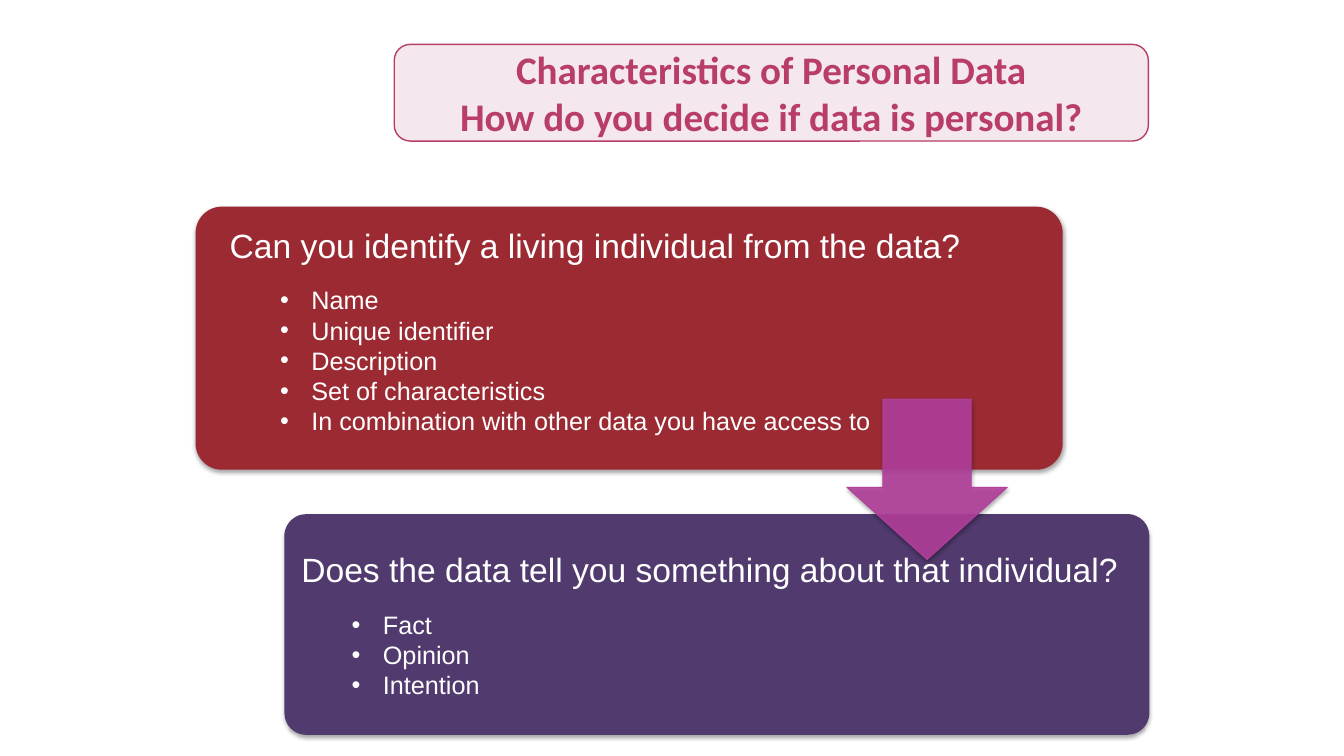
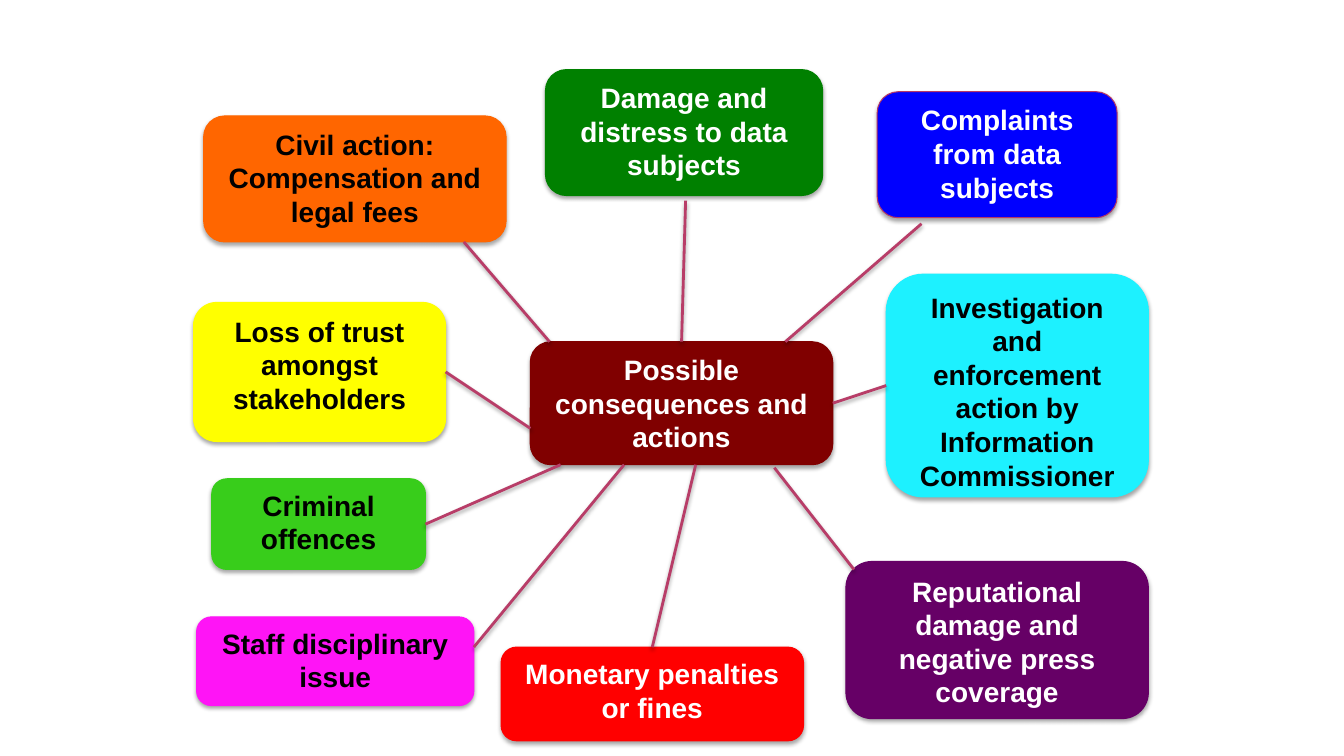
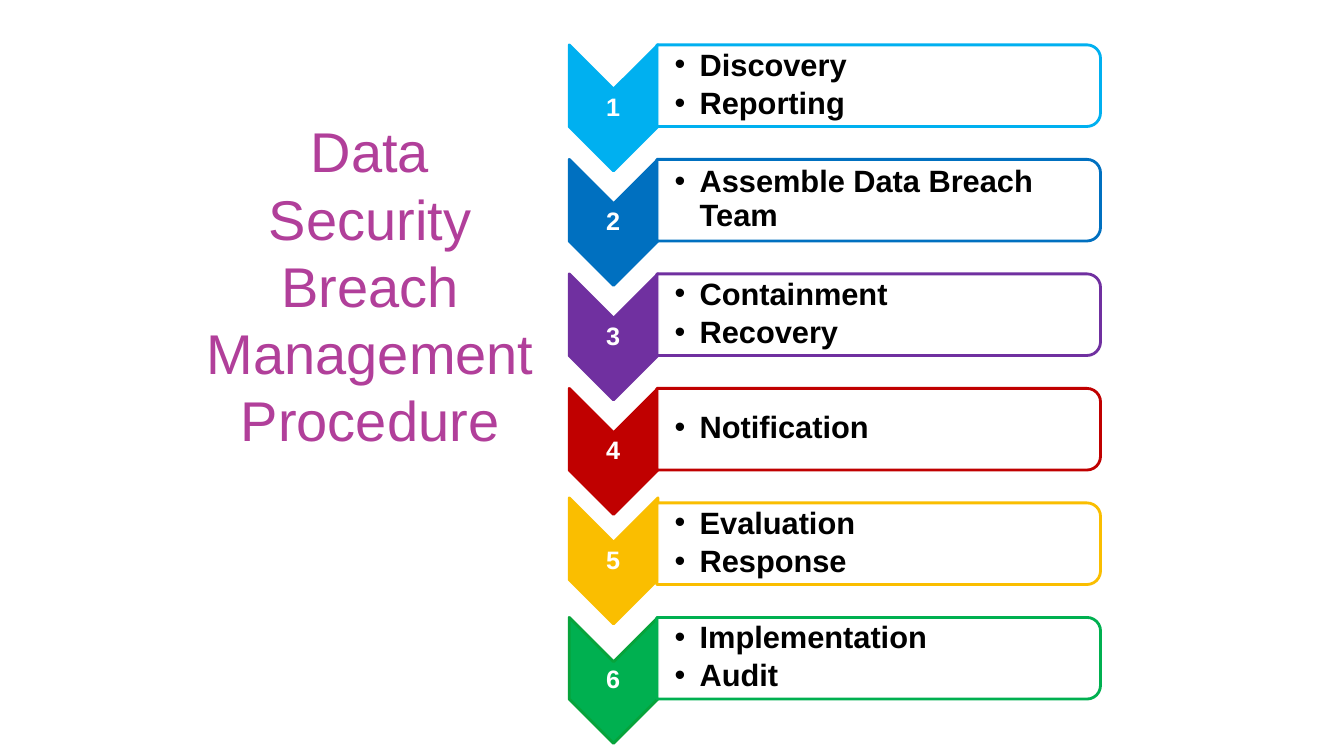
import pptx
import pptx.util
import pptx.dml.color
import pptx.enum.shapes
import pptx.enum.text
import pptx.oxml.ns
import lxml.etree as etree

Inches, Pt = pptx.util.Inches, pptx.util.Pt
qn = pptx.oxml.ns.qn
SHAPE = pptx.enum.shapes.MSO_SHAPE
ALIGN = pptx.enum.text.PP_ALIGN
ANCHOR = pptx.enum.text.MSO_ANCHOR

# Shared colours and text formats
WHITE, BLACK, ROSE, ORCHID = "FFFFFF", "000000", "B83D68", "B13F9A"
QUESTION = {"size": Pt(24), "color": WHITE}
POINT = {"size": Pt(18), "color": WHITE, "bullet": (0.81, -0.31)}
FIRST_POINT = {**POINT, "space_before": Pt(14)}
NODE = {"size": Pt(20), "bold": True, "alignment": ALIGN.CENTER}
NUMBER = {"size": Pt(18), "bold": True, "color": WHITE, "alignment": ALIGN.CENTER,
          "line_spacing": 0.9}
STEP = {"size": Pt(22), "bold": True, "color": BLACK, "bullet": (0.25, -0.25),
        "line_spacing": 0.9, "space_after": Pt(3.5)}
BANNER = {"name": "Calibri", "size": Pt(27.9), "bold": True, "color": ROSE,
          "alignment": ALIGN.CENTER}
SIDE_TITLE = {"size": Pt(40), "color": ORCHID, "alignment": ALIGN.CENTER}
PARAGRAPH_KEYS = ("alignment", "line_spacing", "space_before", "space_after")


def rgb(value):
    return pptx.dml.color.RGBColor.from_string(value)


def box(at):
    return [Inches(v) for v in at]


def add_shadow(shape):
    """Give a shape or connector the soft shadow below it."""
    sp_pr = shape._element.spPr
    effects = sp_pr.find(qn("a:effectLst"))
    if effects is None:
        effects = etree.SubElement(sp_pr, qn("a:effectLst"))
    shadow = etree.SubElement(effects, qn("a:outerShdw"), blurRad=str(Pt(3.1)),
                              dist=str(Pt(1.8)), dir="5400000", rotWithShape="0")
    color = etree.SubElement(shadow, qn("a:srgbClr"), val=BLACK)
    etree.SubElement(color, qn("a:alpha"), val="35000")


def set_bullet(p, left, hanging):
    pPr = p._p.get_or_add_pPr()
    pPr.set("marL", str(Inches(left)))
    pPr.set("indent", str(Inches(hanging)))
    etree.SubElement(pPr, qn("a:buFont"), typeface="Arial")
    etree.SubElement(pPr, qn("a:buChar"), char="•")


def write(tf, paragraphs, anchor=ANCHOR.TOP, margins=(0.1, 0.05, 0.1, 0.05)):
    """Fill a text frame from (text, format) pairs."""
    tf.word_wrap = True
    tf.auto_size = pptx.enum.text.MSO_AUTO_SIZE.NONE
    tf.vertical_anchor = anchor
    for side, margin in zip(("left", "top", "right", "bottom"), margins):
        setattr(tf, "margin_" + side, Inches(margin))
    for i, (text, style) in enumerate(paragraphs):
        p = tf.add_paragraph() if i else tf.paragraphs[0]
        if "bullet" in style:
            set_bullet(p, *style["bullet"])
        r = p.add_run()
        r.text = text
        r.font.name = "Arial"
        for key, value in style.items():
            if key == "color":
                r.font.color.rgb = rgb(value)
            elif key in PARAGRAPH_KEYS:
                setattr(p, key, value)
            elif key != "bullet":
                setattr(r.font, key, value)


def add_text(s, at, paragraphs, **frame):
    write(s.shapes.add_textbox(*box(at)).text_frame, paragraphs, **frame)


def add_shape(s, kind, at, fill, line=None, width=0.75, shadow=False, adjust=(),
              rotation=0, opacity=None):
    sp = s.shapes.add_shape(kind, *box(at))
    sp.rotation = rotation
    for i, value in enumerate(adjust):
        sp.adjustments[i] = value
    sp.fill.solid()
    sp.fill.fore_color.rgb = rgb(fill)
    if opacity:
        color = sp._element.spPr.find(qn("a:solidFill"))[0]
        etree.SubElement(color, qn("a:alpha"), val=str(opacity * 1000))
    if line:
        sp.line.color.rgb = rgb(line)
        sp.line.width = Pt(width)
    else:
        sp.line.fill.background()
    sp.shadow.inherit = False
    if shadow:
        add_shadow(sp)
    return sp


def add_title(s, at, paragraphs, **frame):
    title = s.shapes.title
    title.left, title.top, title.width, title.height = box(at)
    write(title.text_frame, paragraphs, **frame)
    return title


def add_link(s, start, end):
    """Each end is (shape, side number) or (shape, (x, y))."""
    points = []
    for shape, place in (start, end):
        points += box(place) if isinstance(place, tuple) else [shape.left, shape.top]
    line = s.shapes.add_connector(pptx.enum.shapes.MSO_CONNECTOR.STRAIGHT, *points)
    for (shape, place), connect in ((start, line.begin_connect), (end, line.end_connect)):
        if isinstance(place, int):
            connect(shape, place)
    line.line.color.rgb = rgb(ROSE)
    line.line.width = Pt(2)
    add_shadow(line)


def personal_data_slide(prs):
    s = prs.slides.add_slide(prs.slide_layouts[5])
    # Title on its frame
    banner = (3.91, 0.44, 7.48, 0.96)
    title = add_title(s, banner, [("Characteristics of Personal Data", BANNER),
                                  ("How do you decide if data is personal?", BANNER)],
                      anchor=ANCHOR.MIDDLE)
    frame = add_shape(s, SHAPE.FLOWCHART_ALTERNATE_PROCESS, banner, "F4E7ED", ROSE, 1)
    title._element.addprevious(frame._element)

    # Two panels and the arrow between them
    for at, fill in (((1.94, 2.05, 8.6, 2.61), "9C2A33"), ((2.82, 5.1, 8.58, 2.19), "503A6E")):
        add_shape(s, SHAPE.ROUNDED_RECTANGLE, at, fill, shadow=True, adjust=(0.1,))
    add_shape(s, SHAPE.DOWN_ARROW, (8.4, 3.96, 1.59, 1.59), ORCHID, ORCHID, shadow=True,
              adjust=(0.55, 0.45), opacity=90)

    # Questions with their points
    questions = [
        ((2.18, 2.18, 7.72, 2.22), "Can you identify a living individual from the data?",
         ["Name", "Unique identifier", "Description", "Set of characteristics",
          "In combination with other data you have access to"]),
        ((2.89, 5.4, 8.5, 1.62), "Does the data tell you something about that individual?",
         ["Fact", "Opinion", "Intention"]),
    ]
    for at, question, (first, *others) in questions:
        add_text(s, at, [(question, QUESTION), (first, FIRST_POINT)]
                 + [(point, POINT) for point in others])


def consequences_slide(prs):
    s = prs.slides.add_slide(prs.slide_layouts[6])

    def add_node(at, fill, color, lines, line=None):
        sp = add_shape(s, SHAPE.ROUNDED_RECTANGLE, at, fill, line or fill, shadow=True)
        write(sp.text_frame, [(text, {**NODE, "color": color}) for text in lines])
        return sp

    centre = add_node((5.26, 3.39, 3, 1.22), "800000", WHITE,
                      ["Possible consequences and actions"])

    # Place, fill, text colour, text, link at the node, link at the centre
    nodes = [
        ((8.7, 0.91, 2.38, 1.25), "0000FF", WHITE, ["Complaints", "from data subjects"],
         (9.14, 2.22), (7.79, 3.39)),
        ((2.1, 4.75, 2.12, 0.9), "38CD1B", BLACK, ["Criminal offences"], 3, (5.56, 4.61)),
        ((1.92, 3, 2.5, 1.38), "FFFF00", BLACK, ["Loss of trust amongst stakeholders"],
         3, (5.26, 4.25)),
        ((5.41, 0.69, 2.75, 1.25), "008000", WHITE, ["Damage and distress to data subjects"],
         (6.8, 1.99), 0),
        ((1.95, 6.12, 2.75, 0.88), "FF14F6", BLACK, ["Staff disciplinary issue"],
         (4.7, 6.42), (6.19, 4.61)),
        ((8.39, 5.57, 3, 1.56), "660066", WHITE,
         ["Reputational damage and negative press coverage"], (8.47, 5.65), (7.68, 4.64)),
        ((8.79, 2.72, 2.6, 2.21), "1DF1FF", BLACK,
         ["Investigation and enforcement action by Information Commissioner"], 1, 3),
        ((4.97, 6.42, 3, 0.93), "FF0000", WHITE, ["Monetary penalties or fines"],
         0, (6.9, 4.61)),
        ((2.02, 1.15, 3, 1.25), "FF6600", BLACK,
         ["Civil action:", "Compensation and legal fees"], (4.6, 2.4), (5.45, 3.39)),
    ]
    for at, fill, color, lines, outer, inner in nodes:
        edge = "B73965" if fill == "0000FF" else None
        node = add_node(at, fill, color, lines, edge)
        add_link(s, (node, outer), (centre, inner))


def breach_slide(prs):
    s = prs.slides.add_slide(prs.slide_layouts[5])
    add_title(s, (1.94, 1.11, 3.46, 3.47),
              [("Data Security Breach Management Procedure", SIDE_TITLE)])

    # Colour, chevron edge, chevron shift, points
    steps = [
        ("00B0F0", "00B0F0", 0, ["Discovery", "Reporting"]),
        ("0070C0", "0070C0", 0, ["Assemble Data Breach Team"]),
        ("7030A0", "7030A0", 0, ["Containment", "Recovery"]),
        ("C00000", "C00000", 0, ["Notification"]),
        ("FABE00", "FABE00", -0.05, ["Evaluation", "Response"]),
        ("00B050", "07A33B", 0, ["Implementation", "Audit"]),
    ]
    pitch = 1.136
    for i, (color, edge, shift, points) in enumerate(steps):
        y = i * pitch
        add_shape(s, SHAPE.CHEVRON, (5.46, 0.63 + y + shift, 1.25, 0.88), color, edge, 2,
                  rotation=90)
        add_text(s, (5.64, 0.88 + y + shift, 0.88, 0.38), [(str(i + 1), NUMBER)],
                 anchor=ANCHOR.MIDDLE, margins=(0.01,) * 4)
        add_shape(s, SHAPE.ROUND_2_SAME_RECTANGLE, (8.31, y - 1.35, 0.81, 4.4), WHITE, color, 2,
                  rotation=90, opacity=90)
        add_text(s, (6.52, 0.48 + y, 4.36, 0.73), [(point, STEP) for point in points],
                 anchor=ANCHOR.MIDDLE, margins=(0.17, 0.02, 0.02, 0.02))


def main():
    prs = pptx.Presentation()
    prs.slide_width, prs.slide_height = Inches(13.33), Inches(7.5)
    personal_data_slide(prs)
    consequences_slide(prs)
    breach_slide(prs)
    prs.save("out.pptx")


if __name__ == "__main__":
    main()
